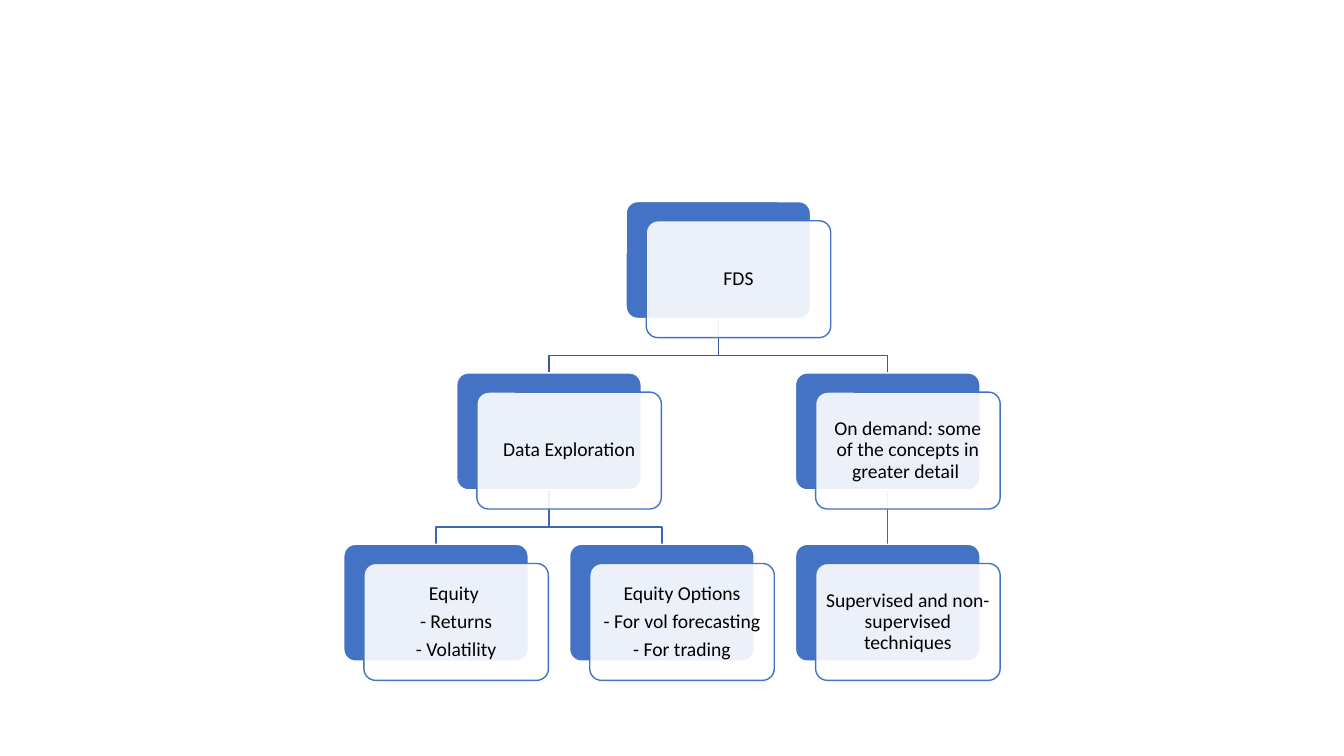
from lxml import etree
from pptx import Presentation
from pptx.dml.color import RGBColor
from pptx.enum.shapes import MSO_CONNECTOR, MSO_SHAPE
from pptx.enum.text import MSO_ANCHOR, PP_ALIGN
from pptx.oxml.ns import qn
from pptx.util import Inches, Pt

COLORS = {
    "blue": "4472C4",
    "top_line": "365B9D",
    "low_line": "3E67B2",
    "white": "FFFFFF",
    "black": "000000",
}
BOX_W, BOX_H = 1.83, 1.16
TOP, LEVEL_GAP = 2.0, 1.7      # first level and distance between levels
OFFSET_X, OFFSET_Y = 0.2, 0.19  # front card against back card
BEND = 0.37                     # drop from a box to the bend of its line

# name: (left, level, parent, paragraphs)
NODES = {
    "fds": (6.21, 0, None, ["FDS"]),
    "exploration": (4.53, 1, "fds", ["Data Exploration"]),
    "equity": (3.41, 2, "exploration", ["Equity ", "- Returns", "- Volatility"]),
    "options": (5.65, 2, "exploration",
                ["Equity Options", "- For vol forecasting", "- For trading"]),
    "demand": (7.89, 1, "fds",
               ["On demand: some of the concepts in greater detail "]),
    "techniques": (7.89, 2, "demand",
                   ["Supervised and non-supervised techniques"]),
}


def rgb(name):
    return RGBColor.from_string(COLORS[name])


def add_card(left, top, fill, line):
    card = s.shapes.add_shape(MSO_SHAPE.ROUNDED_RECTANGLE, Inches(left),
                              Inches(top), Inches(BOX_W), Inches(BOX_H))
    card.adjustments[0] = 0.1
    card.shadow.inherit = False
    card.fill.solid()
    card.fill.fore_color.rgb = rgb(fill)
    card.line.color.rgb = rgb(line)
    card.line.width = Pt(1)
    return card


prs = Presentation()
prs.slide_width, prs.slide_height = Inches(13.33), Inches(7.5)
s = prs.slides.add_slide(prs.slide_layouts[6])

# Lines between the levels, behind the boxes
for left, level, parent, _ in NODES.values():
    if parent is None:
        continue
    x1 = Inches(NODES[parent][0] + BOX_W / 2)
    x2 = Inches(left + BOX_W / 2)
    y1 = Inches(TOP + (level - 1) * LEVEL_GAP + BOX_H)
    y2 = Inches(TOP + level * LEVEL_GAP)
    if x1 == x2:
        link = s.shapes.add_connector(MSO_CONNECTOR.STRAIGHT, x1, y1, x2, y2)
    else:
        bend = y1 + Inches(BEND)
        builder = s.shapes.build_freeform(x1, y1)
        builder.add_line_segments([(x1, bend), (x2, bend), (x2, y2)], close=False)
        link = builder.convert_to_shape()
        link.fill.background()
    link.line.color.rgb = rgb("top_line" if level == 1 else "low_line")
    link.line.width = Pt(1)
    etree.SubElement(link.element.spPr, qn("a:effectLst"))

# Boxes: a blue back card and a translucent front card with the text
for left, level, _, lines in NODES.values():
    top = TOP + level * LEVEL_GAP
    add_card(left, top, "blue", "white")
    front = add_card(left + OFFSET_X, top + OFFSET_Y, "white", "blue")
    color = front.element.spPr.find(qn("a:solidFill")).find(qn("a:srgbClr"))
    etree.SubElement(color, qn("a:alpha")).set("val", "90000")

    tf = front.text_frame
    tf.word_wrap = True
    tf.vertical_anchor = MSO_ANCHOR.MIDDLE
    tf.margin_left = tf.margin_right = Inches(0.06)
    tf.margin_top = tf.margin_bottom = Inches(0.06)
    tf.text = "\n".join(lines)
    for p in tf.paragraphs:
        p.alignment = PP_ALIGN.CENTER
        p.line_spacing = 0.9
        p.space_after = Pt(4.9)
        p.font.name = "Calibri"
        p.font.size = Pt(14)
        p.font.color.rgb = rgb("black")

prs.save("out.pptx")
